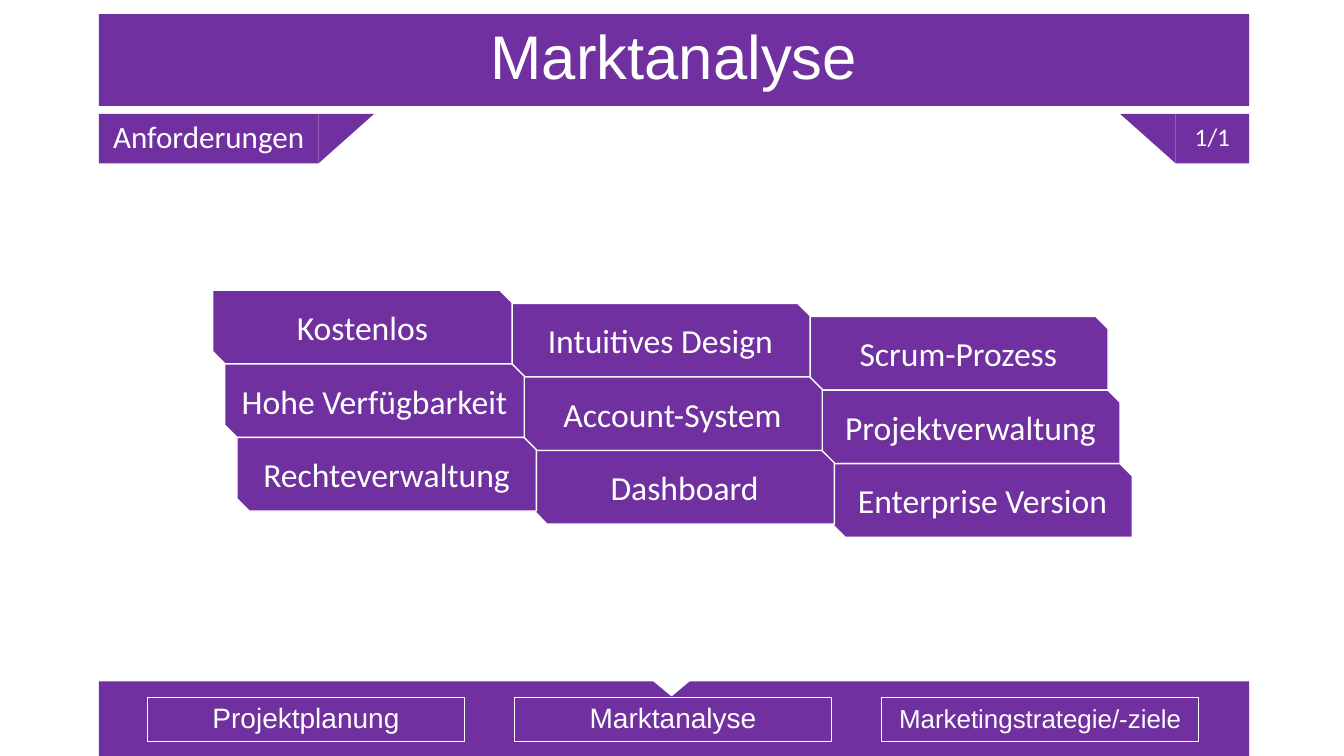
from dataclasses import dataclass

from pptx import Presentation
from pptx import util as u
from pptx.dml.color import RGBColor
from pptx.enum import shapes, text


@dataclass(frozen=True)
class Theme:
    """Colours, fonts and type sizes of the slide."""
    purple: RGBColor = RGBColor(0x70, 0x30, 0xA0)
    white: RGBColor = RGBColor(0xFF, 0xFF, 0xFF)
    heading_font: str = "Arial"
    body_font: str = "Calibri"
    title_size: float = 44
    tile_size: float = 24
    section_size: float = 22.2
    navigation_size: float = 20
    long_navigation_size: float = 18.5
    page_size: float = 18


THEME = Theme()
PRESET = shapes.MSO_SHAPE


def write(shape, wording, size, font, spacing=0.9):
    """Put one centred white line of text into a shape."""
    frame = shape.text_frame
    frame.word_wrap = True
    frame.auto_size = text.MSO_AUTO_SIZE.NONE
    frame.vertical_anchor = text.MSO_ANCHOR.MIDDLE
    paragraph = frame.paragraphs[0]
    paragraph.alignment = text.PP_ALIGN.CENTER
    paragraph.line_spacing = spacing
    run = paragraph.add_run()
    run.text = wording
    run.font.size = u.Pt(size)
    run.font.name = font
    run.font.color.rgb = THEME.white


def add_block(slide, preset, box, fill=None, line_width=0, rotation=0):
    """Draw a preset shape in a box, with an optional fill and white outline."""
    shape = slide.shapes.add_shape(preset, *map(u.Inches, box))
    shape.shadow.inherit = False
    shape.rotation = rotation
    if fill is None:
        shape.fill.background()
    else:
        shape.fill.solid()
        shape.fill.fore_color.rgb = fill
    if line_width:
        shape.line.color.rgb = THEME.white
        shape.line.width = u.Pt(line_width)
    else:
        shape.line.fill.background()
    return shape


def add_title(slide, box, wording):
    """Format the title placeholder as a purple banner."""
    title = slide.shapes.title
    title.left, title.top, title.width, title.height = map(u.Inches, box)
    title.fill.solid()
    title.fill.fore_color.rgb = THEME.purple
    write(title, wording, THEME.title_size, THEME.heading_font)


def add_section_strip(slide, box, section, page):
    """Place the section tab at the left and the page tab at the right."""
    left, top, width, height = box
    section_width, page_width, slant = 2.18, 0.73, 0.55
    page_left = left + width - page_width
    turn = (slant - height) / 2
    slant_left = left + section_width + turn
    add_block(slide, PRESET.RIGHT_TRIANGLE, (slant_left, top - turn, height, slant),
              THEME.purple, rotation=90)
    add_block(slide, PRESET.RIGHT_TRIANGLE, (page_left - slant, top, slant, height),
              THEME.purple, rotation=180)
    section_tab = add_block(slide, PRESET.RECTANGLE,
                            (left, top, section_width, height), THEME.purple)
    write(section_tab, section, THEME.section_size, THEME.body_font)
    page_tab = add_block(slide, PRESET.RECTANGLE,
                         (page_left, top, page_width, height), THEME.purple)
    write(page_tab, page, THEME.page_size, THEME.body_font)


def add_requirements(slide, box, rows):
    """Lay out the staggered tiles, each row from right to left."""
    left, top, width, height = box
    tile_width, tile_height = 2.97, 0.73
    row_shift, column_drop = 0.12, 0.13
    last_row, last_column = len(rows) - 1, len(rows[0]) - 1
    pitch = (width - tile_width - last_row * row_shift) / last_column
    for row, labels in enumerate(rows):
        for column, label in reversed(list(enumerate(labels))):
            tile_box = (left + column * pitch + row * row_shift,
                        top + row * tile_height + column * column_drop,
                        tile_width, tile_height)
            tile = add_block(slide, PRESET.SNIP_2_DIAG_RECTANGLE, tile_box,
                             THEME.purple, line_width=1)
            write(tile, label, THEME.tile_size, THEME.body_font, spacing=1)


def add_navigation(slide, box, entries):
    """Draw the footer bar with its marker and framed chapter names."""
    left, top, width, height = box
    add_block(slide, PRESET.RECTANGLE, box, THEME.purple)
    add_block(slide, PRESET.ISOSCELES_TRIANGLE, (left + 5.5, top - 0.01, 0.36, 0.15),
              THEME.white, line_width=1, rotation=180)
    for index, (label, size) in enumerate(entries):
        entry_box = (left + 0.48 + index * 3.64, top + 0.16, 3.15, 0.44)
        entry = add_block(slide, PRESET.RECTANGLE, entry_box, line_width=0.75)
        write(entry, label, size, THEME.heading_font)


def main():
    """Build the market analysis slide and save it."""
    presentation = Presentation()
    presentation.slide_width = u.Inches(13.33)
    presentation.slide_height = u.Inches(7.5)
    slide = presentation.slides.add_slide(presentation.slide_layouts[5])
    left, width = 0.98, 11.41
    add_title(slide, (left, 0.14, width, 0.91), "Marktanalyse")
    add_section_strip(slide, (left, 1.13, width, 0.49), "Anforderungen", "1/1")
    add_requirements(slide, (2.11, 2.88, 9.12, 2.45), [
        ["Kostenlos", "Intuitives Design", "Scrum-Prozess"],
        ["Hohe Verfügbarkeit", "Account-System", "Projektverwaltung"],
        ["Rechteverwaltung", "Dashboard", "Enterprise Version"],
    ])
    add_navigation(slide, (left, 6.76, width, 0.74), [
        ("Projektplanung", THEME.navigation_size),
        ("Marktanalyse", THEME.navigation_size),
        ("Marketingstrategie/-ziele", THEME.long_navigation_size),
    ])
    presentation.save("out.pptx")


if __name__ == "__main__":
    main()
